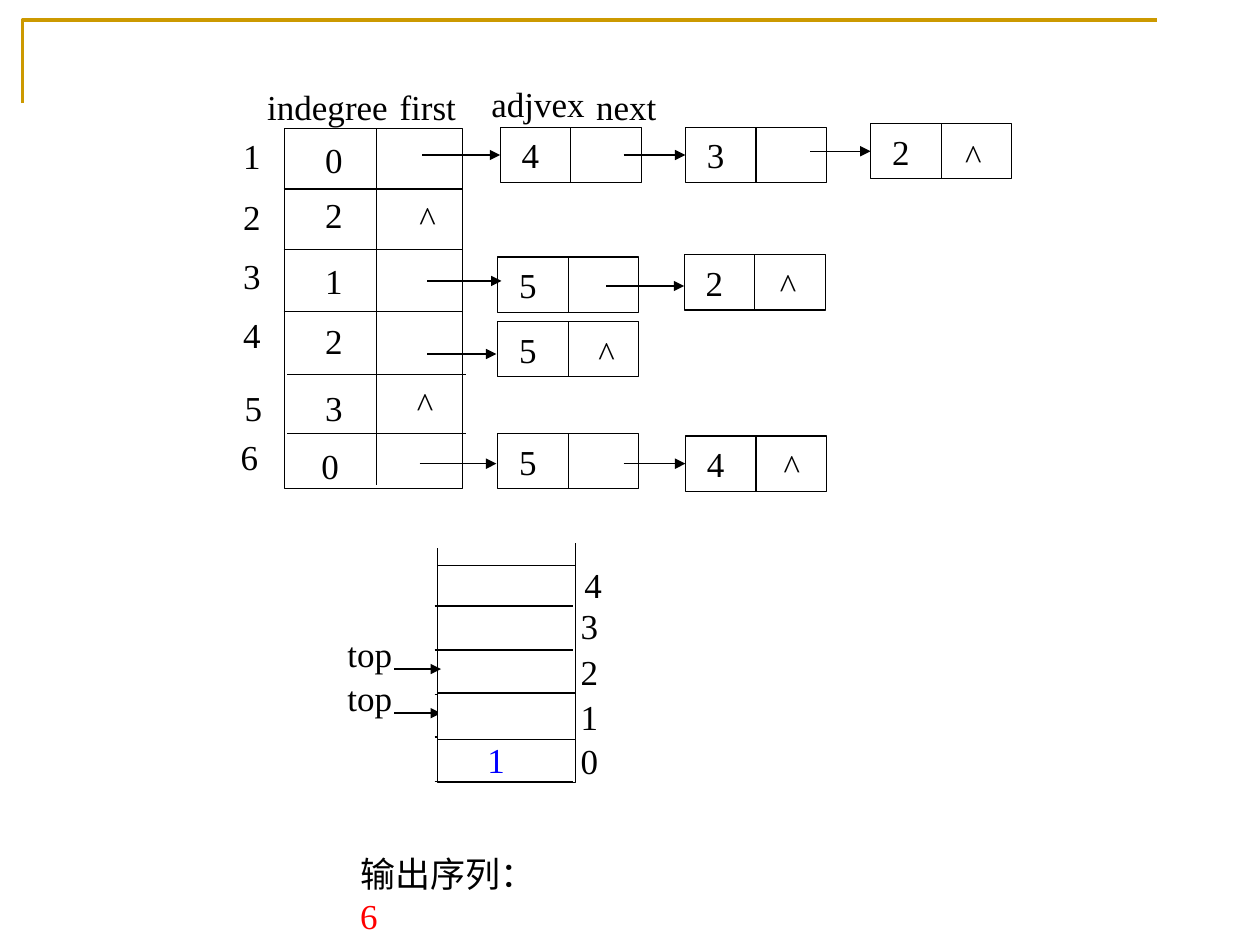
import pptx
import pptx.util
import pptx.dml.color
import pptx.enum.shapes
import pptx.enum.text
import pptx.oxml.ns
import lxml.etree

RGB = pptx.dml.color.RGBColor.from_string
PT = pptx.util.Pt
ALIGN = pptx.enum.text.PP_ALIGN
ANCHOR = pptx.enum.text.MSO_ANCHOR
RECT = pptx.enum.shapes.MSO_SHAPE.RECTANGLE
qn = pptx.oxml.ns.qn

theme = {
    "ink": RGB("000000"), "paper": RGB("FFFFFF"), "accent": RGB("CC9900"),
    "pushed": RGB("0000FF"), "output": RGB("FF0000"),
    "font": {"name": "Times New Roman", "size": PT(20)},
    "line": PT(0.75), "corner": PT(2),
}
label = {"vertical_anchor": ANCHOR.MIDDLE, "word_wrap": False}
node_text = {"vertical_anchor": ANCHOR.MIDDLE, "word_wrap": True}
stack_text = {"vertical_anchor": ANCHOR.TOP, "word_wrap": False}
output_text = {"vertical_anchor": ANCHOR.TOP, "word_wrap": True}

prs = pptx.Presentation()
prs.slide_width, prs.slide_height = pptx.util.Inches(10), pptx.util.Inches(7.5)
s = prs.slides.add_slide(prs.slide_layouts[6])
col, row = prs.slide_width / 100, prs.slide_height / 75
text_h = 4.3


def box(x, y, w, h, runs=(), fmt=label, align=ALIGN.CENTER, outlined=False, fill=None):
    at = [int(v) for v in (x * col, y * row, w * col, h * row)]
    if outlined:
        sp = s.shapes.add_shape(RECT, *at)
        sp.shadow.inherit = False
        sp.line.color.rgb, sp.line.width = theme["ink"], theme["line"]
        if fill is None:
            sp.fill.background()
        else:
            sp.fill.solid()
            sp.fill.fore_color.rgb = fill
    else:
        sp = s.shapes.add_textbox(*at)
    tf = sp.text_frame
    for key, value in fmt.items():
        setattr(tf, key, value)
    p = tf.paragraphs[0]
    p.alignment = align
    for text, color in runs:
        r = p.add_run()
        r.text = text
        r.font.color.rgb = theme[color]
        for key, value in theme["font"].items():
            setattr(r.font, key, value)
    return sp


def line(x1, y1, x2, y2, arrow=False):
    kind = pptx.enum.shapes.MSO_CONNECTOR.STRAIGHT
    cn = s.shapes.add_connector(kind, *[int(v) for v in (x1 * col, y1 * row, x2 * col, y2 * row)])
    cn.line.color.rgb, cn.line.width = theme["ink"], theme["line"]
    if arrow:
        ln = cn.line._get_or_add_ln()
        lxml.etree.SubElement(ln, qn("a:tailEnd")).set("type", "triangle")
    lxml.etree.SubElement(cn._element.spPr, qn("a:effectLst"))
    return cn


fb = s.shapes.build_freeform(int(1.8 * col), int(8.2 * row))
fb.add_line_segments([(int(x * col), int(y * row)) for x, y in ((1.8, 1.6), (91.8, 1.6))], close=False)
corner = fb.convert_to_shape()
corner.shadow.inherit = False
corner.fill.background()
corner.line.color.rgb, corner.line.width = theme["accent"], theme["corner"]

box(22.6, 10.2, 14.1, 28.6, outlined=True)
line(29.9, 10.2, 29.9, 38.5)
for x, y in ((22.5, 15), (22.5, 19.8), (22.5, 24.7), (22.8, 29.7), (22.8, 34.4)):
    line(x, y, x + 14.15, y)

for text, x, y, w in (("indegree", 20.2, 6.3, 11.6), ("first", 30.7, 6.3, 6.5),
                      ("adjvex", 38, 6.1, 9.4), ("next", 46.3, 6.3, 6.8)):
    box(x, y, w, text_h, [(text, "ink")])

vertices = [
    ("1", 18.3, 10.2, "0", 24.8, 10.5), ("2", 18.3, 15, "2", 24.8, 14.9),
    ("3", 18.3, 19.7, "1", 24.8, 20.1), ("4", 18.3, 24.4, "2", 24.8, 24.9),
    ("5", 18.4, 30.2, "3", 24.8, 30.2), ("6", 18.1, 34.1, "0", 24.5, 34.8),
]
for number, nx, ny, degree, dx, dy in vertices:
    box(nx, ny, 3.4, text_h, [(number, "ink")])
    box(dx, dy, 3.4, text_h, [(degree, "ink")])

nodes = [
    ("4", 39.7, 10.1, 33.5, None), ("3", 54.4, 10.1, 49.5, None), ("2", 69.1, 9.8, 64.3, None),
    ("5", 39.5, 20.4, 33.9, (39.8, 22.3)), ("2", 54.3, 20.2, 48.1, (54.3, 22.7)),
    ("5", 39.5, 25.5, 33.9, (39.4, 28.1)),
    ("5", 39.5, 34.4, 33.3, (39.4, 36.8)), ("4", 54.4, 34.6, 49.5, None),
]
node_w, node_h = 11.2, 4.4
for value, x, y, start, tip in nodes:
    sp = box(x, y, node_w, node_h, [(value, "ink")], node_text, ALIGN.LEFT, outlined=True)
    sp.text_frame.margin_left = int(1.7 * col)
    divider = line(x + node_w / 2, y, x + node_w / 2, y + node_h)
    divider.begin_connect(sp, 0)
    divider.end_connect(sp, 2)
    tip_x, tip_y = tip or (x, y + node_h / 2)
    pointer = line(start, tip_y, tip_x, tip_y, arrow=True)
    if tip is None:
        pointer.end_connect(sp, 1)

for x, y in ((75.6, 10.2), (60.9, 20.4), (46.5, 25.8), (61.2, 34.8), (32.3, 15.1), (32.1, 29.9)):
    box(x, y, 3.3, text_h, [("^", "ink")])

box(27.6, 67.2, 17, text_h, [("输出序列：", "ink"), ("6", "output")], output_text, ALIGN.LEFT)

box(34.7, 44.9, 11, 17.2, outlined=True, fill=theme["paper"])
line(34.7, 43.5, 34.7, 62)
line(45.7, 61.8, 45.7, 43.1)
for y in (48.1, 51.6, 55.1, 58.5, 62):
    line(34.5, y, 45.5, y)
for text, x, y in (("4", 45.4, 44.2), ("3", 45.1, 47.5), ("2", 45.1, 51.1),
                   ("1", 45.1, 54.7), ("0", 45.1, 58.2)):
    box(x, y, 3.4, text_h, [(text, "ink")], stack_text, ALIGN.LEFT)
box(37.7, 58.1, 3.4, text_h, [("1", "pushed")], stack_text, ALIGN.LEFT)

for y in (56.6, 53.1):
    line(31.3, y, 35, y, arrow=True)
    box(26.6, y - 3.4, 5.6, text_h, [("top", "ink")], stack_text, ALIGN.LEFT)
box(34.7, 55, 11, 3.7, outlined=True, fill=theme["paper"])

prs.save("out.pptx")
